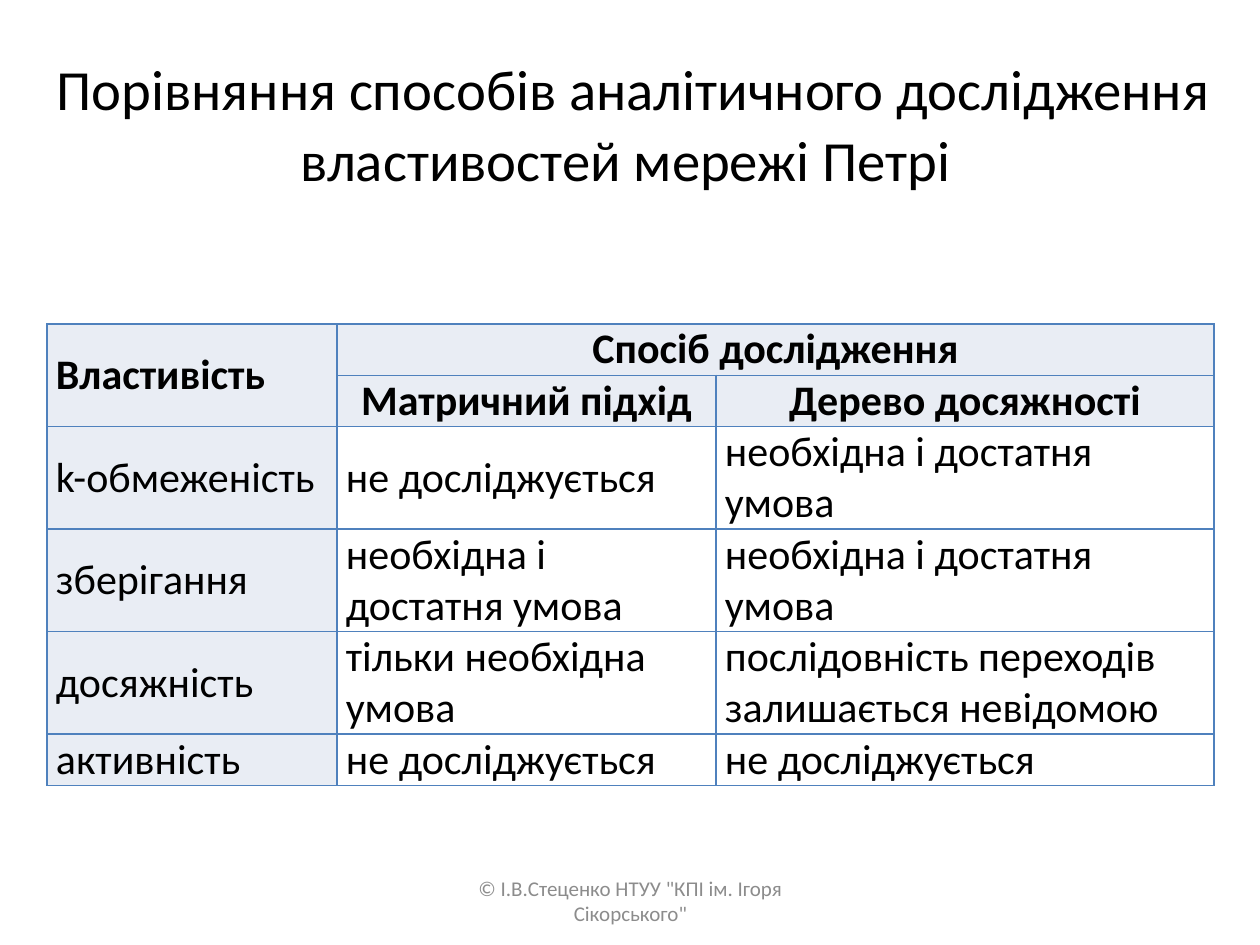
from lxml import etree
from pptx import Presentation
from pptx.dml.color import RGBColor
from pptx.enum.text import MSO_ANCHOR, MSO_AUTO_SIZE, PP_ALIGN
from pptx.oxml.ns import qn
from pptx.util import Pt

MIDDLE = MSO_ANCHOR.MIDDLE
NO_FIT = MSO_AUTO_SIZE.NONE
LEFT, CENTER, JUST = PP_ALIGN.LEFT, PP_ALIGN.CENTER, PP_ALIGN.JUSTIFY
PX = 914400 / 126
FONT = "Calibri"
BLACK, WHITE, GRAY, PALE, BLUE = "000000", "FFFFFF", "8C8C8C", "E9EDF4", "4F81BD"

COLS = [290, 379, 498]
ROWS = [51, 51, 102, 102, 102, 51]
HEADS = 2
BOTH = "необхідна і достатня умова"
NONE = "не досліджується"
CELLS = [
    ["Властивість", "Спосіб дослідження", ""],
    ["", "Матричний підхід", "Дерево досяжності"],
    ["k-обмеженість", NONE, BOTH],
    ["зберігання", BOTH, BOTH],
    ["досяжність", "тільки необхідна умова",
     "послідовність переходів залишається невідомою"],
    ["активність", NONE, NONE],
]


def px(n):
    return round(n * PX)


def color(code):
    return RGBColor.from_string(code)


def add_run(para, text, size, tint=BLACK, bold=False):
    run = para.add_run()
    run.text = text
    font = run.font
    font.name, font.size, font.bold = FONT, Pt(size), bold
    font.color.rgb = color(tint)


def add_title(slide, x, y, w, h):
    title = slide.shapes.title
    title.left, title.top, title.width, title.height = map(px, (x, y, w, h))
    frame = title.text_frame
    frame.word_wrap, frame.auto_size = True, NO_FIT
    frame.vertical_anchor = MIDDLE
    para = frame.paragraphs[0]
    para.alignment = CENTER
    add_run(para, " ", 39.6, bold=True)
    add_run(para, "Порівняння способів аналітичного дослідження "
                  "властивостей мережі Петрі", 32.4)


def add_border(cell):
    props = cell._tc.get_or_add_tcPr()
    for at, side in enumerate(("lnL", "lnR", "lnT", "lnB")):
        line = etree.Element(qn("a:" + side), w=str(Pt(1)))
        fill = etree.SubElement(line, qn("a:solidFill"))
        etree.SubElement(fill, qn("a:srgbClr"), val=BLUE)
        props.insert(at, line)


def fill_cell(cell, text, row, col):
    head = row < HEADS
    cell.fill.solid()
    cell.fill.fore_color.rgb = color(PALE if head or col == 0 else WHITE)
    add_border(cell)
    cell.vertical_anchor = MIDDLE
    cell.margin_left = cell.margin_right = px(9)
    cell.margin_top = cell.margin_bottom = 0
    para = cell.text_frame.paragraphs[0]
    para.alignment = JUST if col == 0 else CENTER if head else LEFT
    if text:
        add_run(para, text, 24, bold=head)


def add_grid(slide, x, y):
    box = map(px, (x, y, sum(COLS), sum(ROWS)))
    table = slide.shapes.add_table(len(ROWS), len(COLS), *box).table
    for col, width in zip(table.columns, COLS):
        col.width = px(width)
    for row, height in zip(table.rows, ROWS):
        row.height = px(height)
    for r, texts in enumerate(CELLS):
        for c, text in enumerate(texts):
            fill_cell(table.cell(r, c), text, r, c)
    table.cell(0, 0).merge(table.cell(1, 0))
    table.cell(0, 1).merge(table.cell(0, 2))


def add_footer(slide, x, y, w, h):
    frame = slide.shapes.add_textbox(*map(px, (x, y, w, h))).text_frame
    frame.word_wrap = True
    frame.vertical_anchor = MIDDLE
    para = frame.paragraphs[0]
    para.alignment = CENTER
    add_run(para, '© І.В.Стеценко НТУУ "КПІ ім. Ігоря Сікорського"', 12, GRAY)


def main():
    deck = Presentation()
    deck.slide_width, deck.slide_height = px(1260), px(945)
    slide = deck.slides.add_slide(deck.slide_layouts[5])
    add_title(slide, 15, 38, 1221, 158)
    add_grid(slide, 47, 324)
    add_footer(slide, 431, 876, 399, 50)
    deck.save("out.pptx")


if __name__ == "__main__":
    main()
